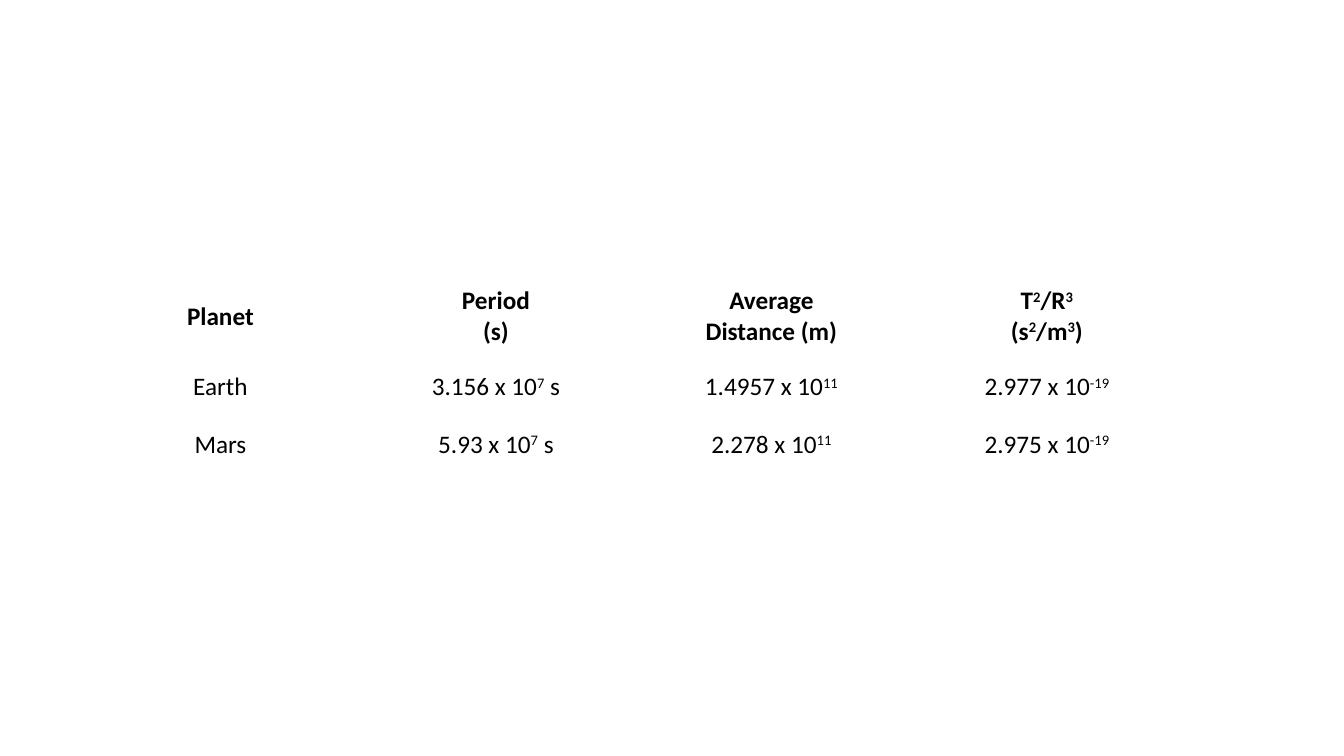
import dataclasses

import pptx
import pptx.dml.color
import pptx.enum.text
import pptx.util

Inches = pptx.util.Inches


@dataclasses.dataclass(frozen=True)
class Theme:
    font: str = "Calibri"
    size: int = 18
    text: str = "000000"
    fill: str = "FFFFFF"
    inset: float = 0.05
    superscript: str = "30000"


THEME = Theme()
MARK = "^"
HEADINGS = ["Planet", "Period\n(s)", "Average\nDistance (m)", "T^2^/R^3^\n(s^2^/m^3^)"]
PLANETS = [
    ["Earth", "3.156 x 10^7^ s", "1.4957 x 10^11^", "2.977 x 10^-19^"],
    ["Mars", "5.93 x 10^7^ s", "2.278 x 10^11^", "2.975 x 10^-19^"],
]


def color(code):
    return pptx.dml.color.RGBColor.from_string(code)


def write_line(para, line, bold):
    for index, text in enumerate(line.split(MARK)):
        if not text:
            continue
        span = para.add_run()
        span.text = text
        span.font.name = THEME.font
        span.font.size = pptx.util.Pt(THEME.size)
        span.font.bold = bold
        span.font.color.rgb = color(THEME.text)
        if index % 2:
            span.font._element.set("baseline", THEME.superscript)


def fill_cell(cell, text, heading):
    cell.fill.solid()
    cell.fill.fore_color.rgb = color(THEME.fill)
    inset = Inches(THEME.inset)
    cell.margin_left = cell.margin_right = inset
    cell.margin_top = cell.margin_bottom = inset
    anchors = pptx.enum.text.MSO_ANCHOR
    cell.vertical_anchor = anchors.MIDDLE if heading else anchors.TOP
    para = cell.text_frame.paragraphs[0]
    para.alignment = pptx.enum.text.PP_ALIGN.CENTER
    for index, line in enumerate(text.split("\n")):
        if index:
            para.add_line_break()
        write_line(para, line, heading)


def add_planet_table(page, left, top, width, heading_height, row_height):
    rows = [HEADINGS] + PLANETS
    height = heading_height + row_height * len(PLANETS)
    frame = page.shapes.add_table(
        len(rows), len(HEADINGS), Inches(left), Inches(top), Inches(width), Inches(height)
    )
    table = frame.table
    table.first_row = False
    table.horz_banding = False
    for column in table.columns:
        column.width = Inches(width / len(HEADINGS))
    for row_index, texts in enumerate(rows):
        heading = row_index == 0
        table.rows[row_index].height = Inches(heading_height if heading else row_height)
        for column_index, text in enumerate(texts):
            fill_cell(table.cell(row_index, column_index), text, heading)


def main():
    deck = pptx.Presentation()
    deck.slide_width = Inches(13.33)
    deck.slide_height = Inches(7.5)
    page = deck.slides.add_slide(deck.slide_layouts[6])
    add_planet_table(page, 0.82, 2.64, 10.93, 1, 0.57)
    deck.save("out.pptx")


if __name__ == "__main__":
    main()
